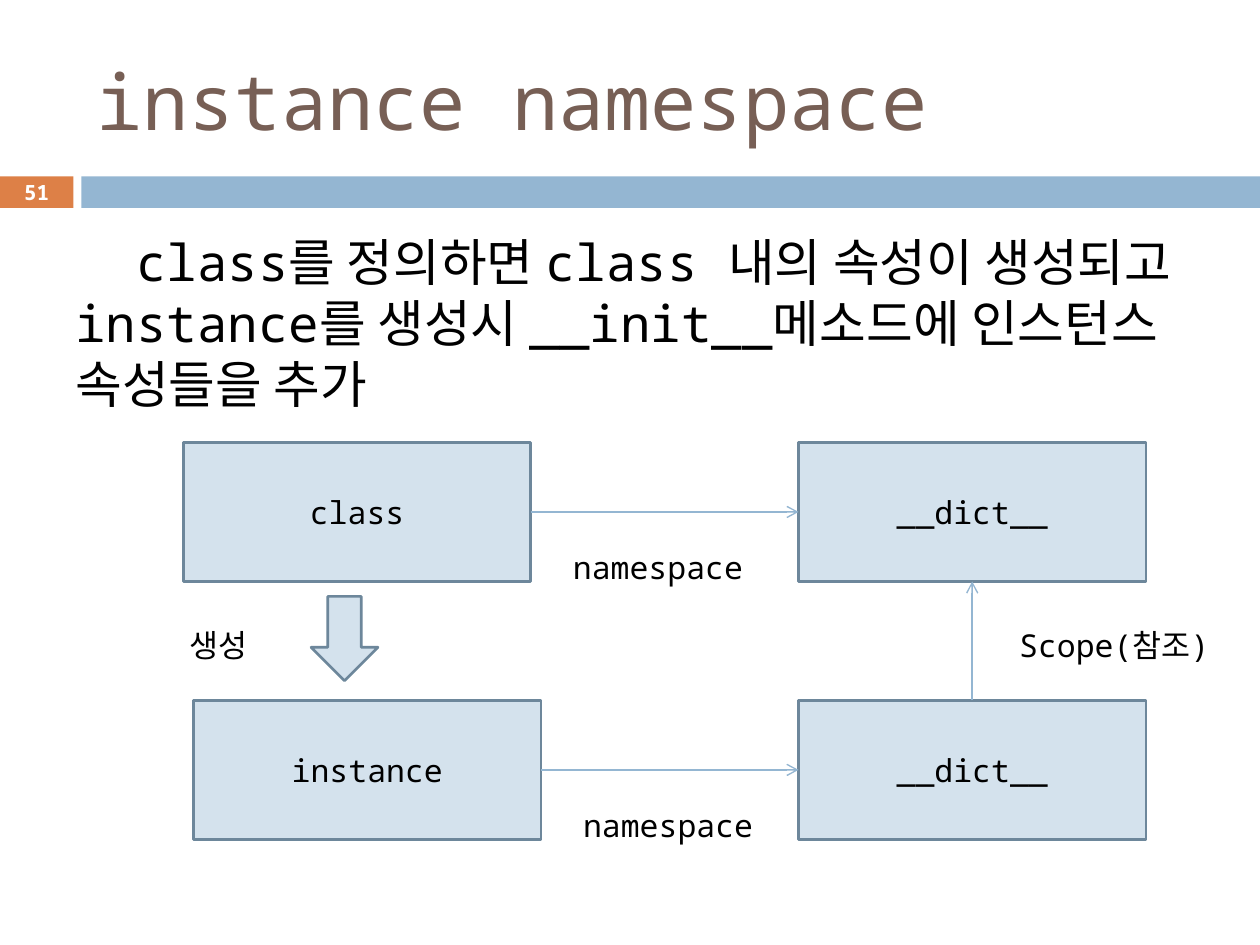
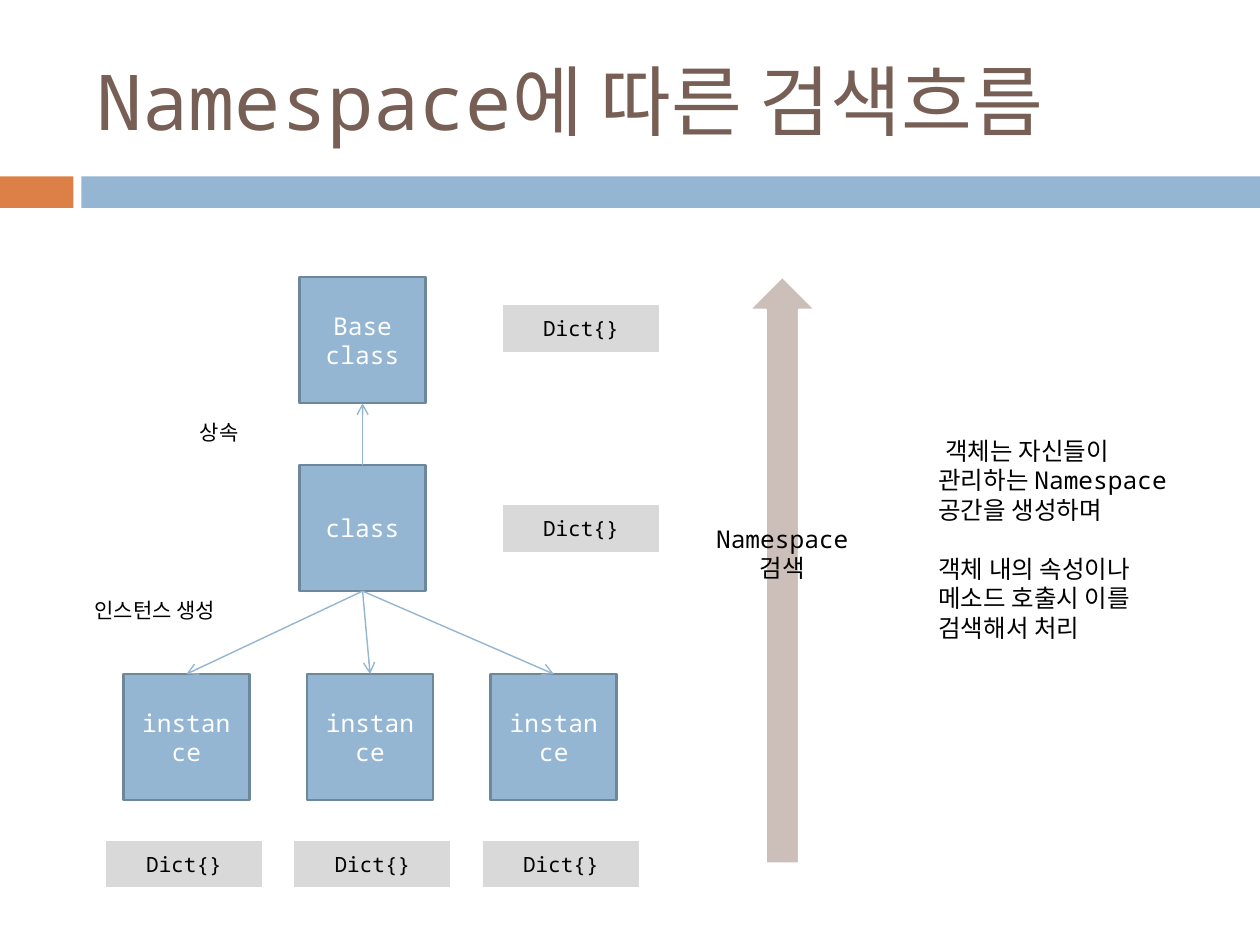
from lxml import etree
from pptx import Presentation
from pptx.dml.color import RGBColor
from pptx.enum.shapes import MSO_CONNECTOR, MSO_SHAPE
from pptx.enum.text import MSO_ANCHOR, PP_ALIGN
from pptx.oxml.ns import qn
from pptx.util import Pt

RECT, DOWN, UP = MSO_SHAPE.RECTANGLE, MSO_SHAPE.DOWN_ARROW, MSO_SHAPE.UP_ARROW
STRAIGHT = MSO_CONNECTOR.STRAIGHT
LEFT, CENTER = PP_ALIGN.LEFT, PP_ALIGN.CENTER
TOP_ANCHOR, MIDDLE = MSO_ANCHOR.TOP, MSO_ANCHOR.MIDDLE
TOP_SIDE, LEFT_SIDE, BOTTOM_SIDE, RIGHT_SIDE = range(4)
FONT = "Noto Sans Mono"
COLORS = {
    "title": "775F55",
    "number": "DD8047",
    "band": "94B6D2",
    "pale": "D4E2ED",
    "outline": "6D879B",
    "dict": "D9D9D9",
    "search": "CCBEB8",
    "white": "FFFFFF",
    "black": "000000",
}


def rgb(name):
    """Return the named colour."""
    return RGBColor.from_string(COLORS[name])


def write(shape, paragraphs, size, color="black", align=CENTER, anchor=MIDDLE,
          bold=False, indent=0, gap=0):
    """Fill a shape with uniformly styled paragraphs."""
    frame = shape.text_frame
    frame.word_wrap = True
    frame.vertical_anchor = anchor
    for index, text in enumerate(paragraphs):
        paragraph = frame.add_paragraph() if index else frame.paragraphs[0]
        paragraph.text = text
        paragraph.alignment = align
        if index:
            paragraph.space_before = Pt(gap)
        elif indent:
            paragraph._p.get_or_add_pPr().set("indent", str(Pt(indent)))
        font = paragraph.font
        font.name, font.size, font.bold = FONT, Pt(size), bold
        font.color.rgb = rgb(color)


def add_block(slide, kind, left, top, width, height, fill, outline=None):
    """Add a flat preset shape."""
    block = slide.shapes.add_shape(kind, Pt(left), Pt(top), Pt(width), Pt(height))
    block.shadow.inherit = False
    block.fill.solid()
    block.fill.fore_color.rgb = rgb(fill)
    if outline:
        block.line.color.rgb = rgb(outline)
        block.line.width = Pt(1.5)
    else:
        block.line.fill.background()
    return block


def add_label(slide, left, top, width, height, *paragraphs, size,
              anchor=TOP_ANCHOR, **style):
    """Add a wrapped text box."""
    label = slide.shapes.add_textbox(Pt(left), Pt(top), Pt(width), Pt(height))
    write(label, paragraphs, size, anchor=anchor, **style)


def add_arrow(slide, source, source_side, target, target_side):
    """Join two rectangles with an open-headed arrow."""
    arrow = slide.shapes.add_connector(STRAIGHT, 0, 0, 0, 0)
    arrow.begin_connect(source, source_side)
    arrow.end_connect(target, target_side)
    arrow.line.color.rgb = rgb("band")
    arrow.line.width = Pt(0.79)
    etree.SubElement(arrow.line._get_or_add_ln(), qn("a:tailEnd"), type="arrow")
    etree.SubElement(arrow._element.spPr, qn("a:effectLst"))


def add_titled_slide(deck, title, number=None):
    """Start a slide with its bands, title and optional number."""
    slide = deck.slides.add_slide(deck.slide_layouts[6])
    number_band = add_block(slide, RECT, 0, 100.8, 42, 18, "number")
    add_block(slide, RECT, 46.5, 100.8, 673.5, 18, "band")
    add_label(slide, 48, 18, 642, 78, title, size=44, color="title",
              align=LEFT, anchor=MIDDLE)
    if number:
        write(number_band, [number], 12, color="white", bold=True)
    return slide


def add_namespace_box(slide, left, top, text):
    """Add a pale box of the namespace diagram."""
    box = add_block(slide, RECT, left, top, 198.5, 79.5, "pale", "outline")
    write(box, [text], 18)
    return box


def add_object_box(slide, left, top, text):
    """Add a square of the object tree."""
    box = add_block(slide, RECT, left, top, 72, 72, "band", "outline")
    write(box, [text], 14, color="white")
    return box


def add_dict_box(slide, left, top):
    """Add a grey dictionary tag."""
    box = add_block(slide, RECT, left, top, 90.7, 28.1, "dict", "white")
    write(box, ["Dict{}"], 12)


def build_instance_namespace(deck):
    """Build the slide on class and instance namespaces."""
    slide = add_titled_slide(deck, "instance namespace", "51")
    add_label(slide, 36, 128.2, 648, 130,
              "class를 정의하면 class 내의 속성이 생성되고 instance를 생성시 "
              "__init__메소드에 인스턴스 속성들을 추가",
              size=29, align=LEFT, indent=34.8)
    dicts = []
    for owner_name, left, top in (("class", 104.8, 252.8), ("instance", 110.6, 400.2)):
        owner = add_namespace_box(slide, left, top, owner_name)
        namespace = add_namespace_box(slide, 456.3, top, "__dict__")
        add_arrow(slide, owner, RIGHT_SIDE, namespace, LEFT_SIDE)
        add_label(slide, left + 215.5, top + 57, 113, 29, "namespace",
                  size=18, align=LEFT)
        dicts.append(namespace)
    class_dict, instance_dict = dicts
    add_block(slide, DOWN, 177.8, 340.8, 38.2, 48.2, "pale", "outline")
    add_label(slide, 65.5, 354.2, 118.8, 29, "생성", size=18)
    add_arrow(slide, instance_dict, TOP_SIDE, class_dict, BOTTOM_SIDE)
    add_label(slide, 575.3, 354.2, 124.6, 29, "Scope(참조)", size=18, align=LEFT)


def build_search_flow(deck):
    """Build the slide on searching along namespaces."""
    slide = add_titled_slide(deck, "Namespace에 따른 검색흐름")
    base_class = add_object_box(slide, 171.2, 158.4, "Base class")
    derived_class = add_object_box(slide, 171.2, 265.8, "class")
    add_arrow(slide, derived_class, TOP_SIDE, base_class, BOTTOM_SIDE)
    for column in range(3):
        instance = add_object_box(slide, 70.5 + 105 * column, 385.2, "instance")
        add_arrow(slide, derived_class, BOTTOM_SIDE, instance, TOP_SIDE)
        add_dict_box(slide, 59.8 + 107.7 * column, 479.7)
    for top in (173.6, 288):
        add_dict_box(slide, 286.6, top)
    add_label(slide, 95, 236.2, 60.5, 21.6, "상속", size=12)
    add_label(slide, 36.7, 337.7, 103.7, 21.6, "인스턴스 생성", size=12)
    add_block(slide, UP, 428, 158, 38.2, 335.5, "search", "white")
    add_label(slide, 393.1, 295.9, 108, 41, "Namespace", "검색", size=14)
    add_label(slide, 529.2, 245.5, 158.4, 126,
              "객체는 자신들이 관리하는 Namespace 공간을 생성하며",
              "객체 내의 속성이나 메소드 호출시 이를 검색해서 처리",
              size=14, align=LEFT, indent=4, gap=17)


def main():
    """Build and save the presentation."""
    deck = Presentation()
    deck.slide_width, deck.slide_height = Pt(720), Pt(540)
    build_instance_namespace(deck)
    build_search_flow(deck)
    deck.save("out.pptx")


if __name__ == "__main__":
    main()
